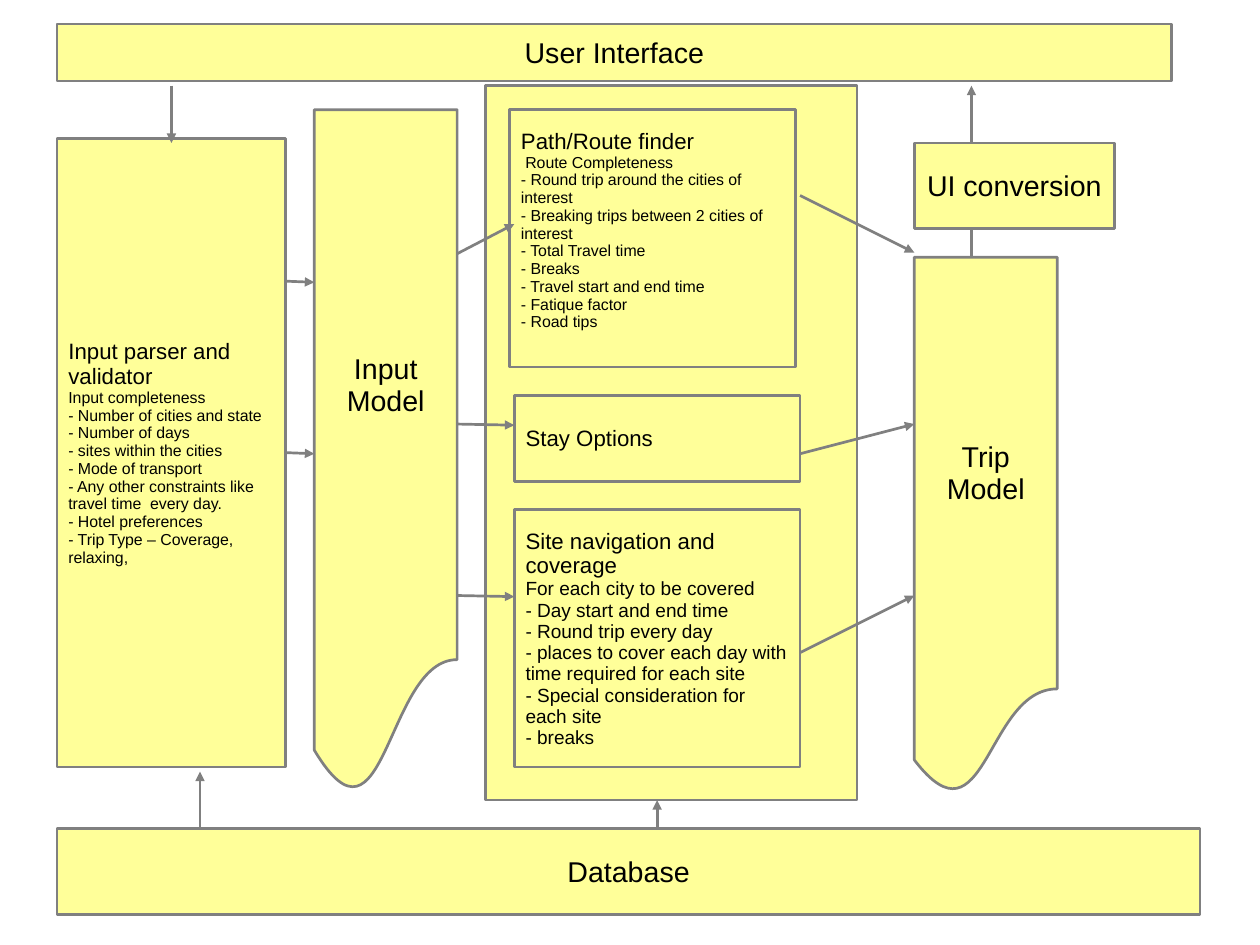
from typing import NamedTuple

from lxml import etree
from pptx import Presentation
from pptx import util as u
from pptx.dml.color import RGBColor
from pptx.enum import shapes, text
from pptx.oxml import ns

PX = 9144  # EMU in one px, 100 px to the inch
SLIDE_WIDTH, SLIDE_HEIGHT = u.Emu(10080625), u.Emu(7559675)  # 28 by 21 cm
YELLOW = RGBColor(0xFF, 0xFF, 0x99)
GREY = RGBColor(0x80, 0x80, 0x80)
BLACK = RGBColor(0, 0, 0)
FONT = "Arial"
LINE_WIDTH = u.Pt(1.7)
RECT = shapes.MSO_SHAPE.RECTANGLE
DOCUMENT = shapes.MSO_SHAPE.FLOWCHART_DOCUMENT


class Box(NamedTuple):
    x: int
    y: int
    w: int
    h: int
    title: str = ""
    title_size: int = 18
    centred: bool = True
    details: tuple[str, ...] = ()
    detail_size: int = 10
    bottom: int = 5
    kind: shapes.MSO_SHAPE = RECT


class Arrow(NamedTuple):
    x1: int
    y1: int
    x2: int
    y2: int
    head: bool = True


BOXES = [
    Box(425, 75, 325, 625),
    Box(50, 121, 200, 550, "Input parser and validator", 14, False, (
        "Input completeness",
        "- Number of cities and state",
        "- Number of days",
        "- sites within the cities",
        "- Mode of transport",
        "- Any other constraints like travel time  every day.",
        "- Hotel preferences",
        "- Trip Type – Coverage, relaxing,",
    )),
    Box(446, 96, 250, 225, "Path/Route finder", 14, False, (
        " Route Completeness",
        "- Round trip around the cities of interest",
        "- Breaking trips between 2 cities of interest",
        "- Total Travel time",
        "- Breaks",
        "- Travel start and end time",
        "- Fatique factor",
        "- Road tips",
    ), bottom=20),
    Box(450, 446, 250, 225, "Site navigation and coverage", 14, False, (
        "For each city to be covered",
        "- Day start and end time",
        "- Round trip every day",
        "- places to cover each day with time required for each site",
        "- Special consideration for each site",
        "- breaks",
    ), detail_size=12),
    Box(450, 346, 250, 75, "Stay Options", 14, False),
    Box(800, 225, 125, 471, "Trip Model", kind=DOCUMENT),
    Box(275, 96, 125, 600, "Input Model", kind=DOCUMENT),
    Box(50, 21, 975, 50, "User Interface"),
    Box(50, 725, 1000, 75, "Database"),
    Box(800, 125, 175, 75, "UI conversion"),
]

ARROWS = [
    Arrow(700, 171, 800, 221),
    Arrow(700, 397, 800, 371),
    Arrow(700, 571, 800, 521),
    Arrow(250, 246, 275, 247),
    Arrow(250, 396, 275, 397),
    Arrow(400, 222, 450, 196),
    Arrow(400, 371, 450, 372),
    Arrow(400, 521, 450, 522),
    Arrow(150, 75, 150, 125),
    Arrow(575, 725, 575, 700),
    Arrow(175, 725, 175, 675),
    Arrow(850, 125, 850, 75),
    Arrow(850, 225, 850, 200, head=False),
]


def write(p, words: str, *, size: int, centred: bool) -> None:
    p.alignment = text.PP_ALIGN.CENTER if centred else text.PP_ALIGN.LEFT
    p.line_spacing = 0.93
    r = p.add_run()
    r.text = words
    r.font.name = FONT
    r.font.size = u.Pt(size)
    r.font.color.rgb = BLACK


def draw_box(s, box: Box) -> None:
    sp = s.shapes.add_shape(box.kind, box.x * PX, box.y * PX, box.w * PX, box.h * PX)
    sp.shadow.inherit = False
    sp.fill.solid()
    sp.fill.fore_color.rgb = YELLOW
    sp.line.color.rgb = GREY
    sp.line.width = LINE_WIDTH
    if not box.title:
        return
    tf = sp.text_frame
    tf.word_wrap = True
    tf.vertical_anchor = text.MSO_ANCHOR.MIDDLE
    tf.margin_left = tf.margin_right = 10 * PX
    tf.margin_top = (7 if box.centred else 6) * PX
    tf.margin_bottom = box.bottom * PX
    write(tf.paragraphs[0], box.title, size=box.title_size, centred=box.centred)
    for detail in box.details:
        write(tf.add_paragraph(), detail, size=box.detail_size, centred=box.centred)


def draw_arrow(s, arrow: Arrow) -> None:
    cx = s.shapes.add_connector(shapes.MSO_CONNECTOR.STRAIGHT, arrow.x1 * PX, arrow.y1 * PX,
                                arrow.x2 * PX, arrow.y2 * PX)
    cx.line.color.rgb = GREY
    cx.line.width = LINE_WIDTH
    if arrow.head:
        etree.SubElement(cx.line._get_or_add_ln(), ns.qn("a:tailEnd"), type="triangle")
    etree.SubElement(cx._element.spPr, ns.qn("a:effectLst"))


def main() -> None:
    prs = Presentation()
    prs.slide_width, prs.slide_height = SLIDE_WIDTH, SLIDE_HEIGHT
    s = prs.slides.add_slide(prs.slide_layouts[6])
    for box in BOXES:
        draw_box(s, box)
    for arrow in ARROWS:
        draw_arrow(s, arrow)
    prs.save("out.pptx")


if __name__ == "__main__":
    main()
